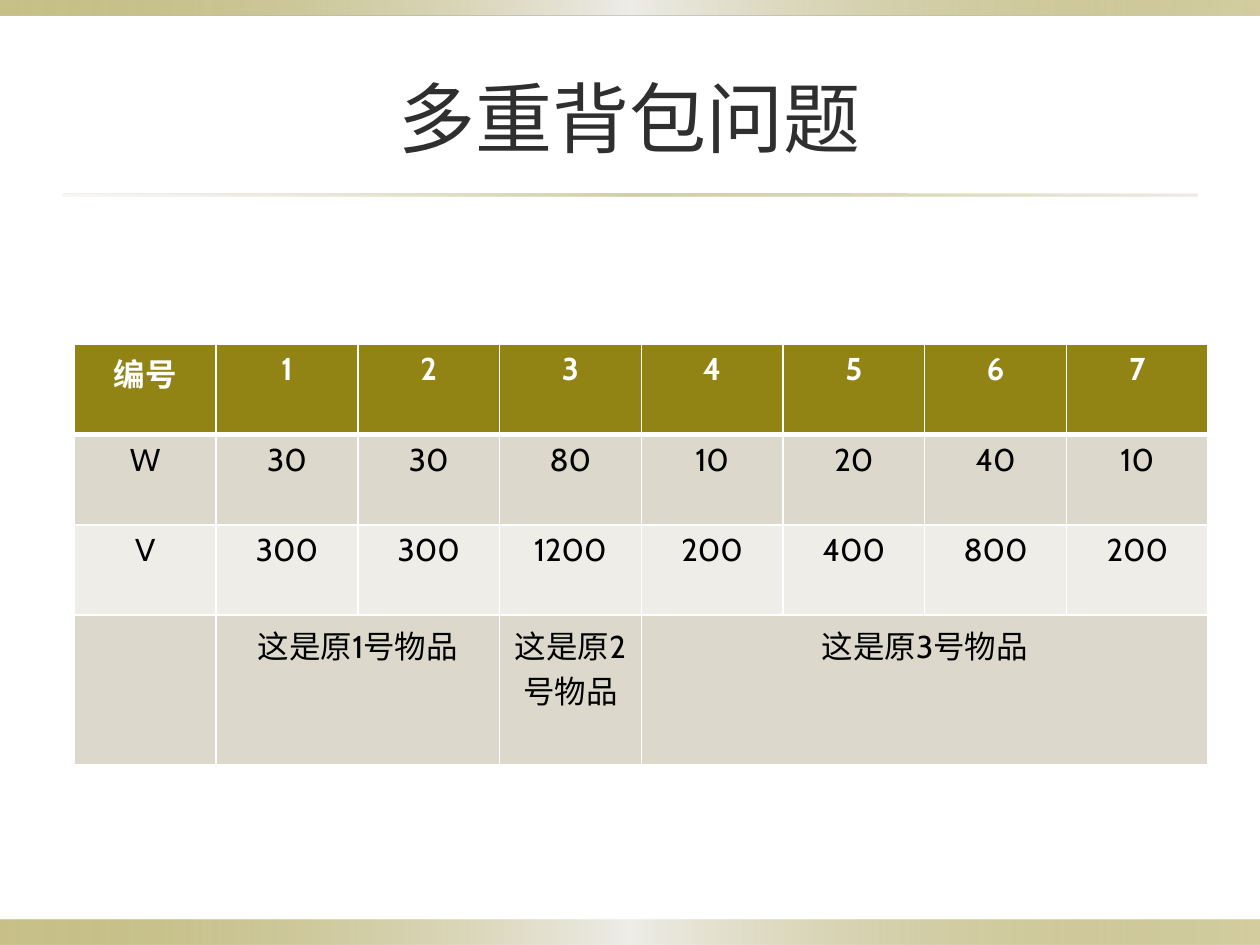
import pptx
import pptx.util
import pptx.dml.color
import pptx.enum.shapes
import pptx.enum.text
import pptx.oxml
import pptx.oxml.ns

Pt = pptx.util.Pt
qn = pptx.oxml.ns.qn
NS = pptx.oxml.ns.nsdecls("a")
FONT = "Cabin"
OLIVE, SAND, PALE, WHITE = "918415", "DCD9CC", "EEEDE8", "FFFFFF"
BAND = [(0, OLIVE, 50), (50, PALE, 100), (100, OLIVE, 40)]
RULE = [(0, SAND, 20), (50, OLIVE, 40), (100, SAND, 50)]
ROWS = [
    ["编号", "1", "2", "3", "4", "5", "6", "7"],
    ["W", "30", "30", "80", "10", "20", "40", "10"],
    ["V", "300", "300", "1200", "200", "400", "800", "200"],
    ["", "这是原1号物品", "", "这是原2号物品", "这是原3号物品", "", "", ""],
]
FILLS = [OLIVE, SAND, PALE, SAND]
MERGES = [(1, 2), (4, 7)]


def rgb(value):
    """Turn a hex string into a colour."""
    return pptx.dml.color.RGBColor.from_string(value)


def write(tf, text, size, color, bold=False):
    """Put one centred paragraph in a text frame."""
    p = tf.paragraphs[0]
    p.alignment = pptx.enum.text.PP_ALIGN.CENTER
    r = p.add_run()
    r.text = text
    for key, value in {"name": FONT, "size": Pt(size), "bold": bold}.items():
        setattr(r.font, key, value)
    r.font.color.rgb = rgb(color)


def add_strip(s, box, stops):
    """Draw a borderless bar with a horizontal gradient."""
    sp = s.shapes.add_shape(pptx.enum.shapes.MSO_SHAPE.RECTANGLE, *map(Pt, box))
    sp.shadow.inherit = False
    sp.line.fill.background()
    sp.fill.gradient()
    sp.fill.gradient_angle = 0
    gs_list = sp._element.spPr.find(qn("a:gradFill")).find(qn("a:gsLst"))
    for gs in list(gs_list):
        gs_list.remove(gs)
    for pos, color, alpha in stops:
        gs_list.append(pptx.oxml.parse_xml(
            f'<a:gs {NS} pos="{pos * 1000}"><a:srgbClr val="{color}">'
            f'<a:alpha val="{alpha * 1000}"/></a:srgbClr></a:gs>'))


def add_title(s, box, text):
    """Place and format the title placeholder."""
    sp = s.shapes.title
    for key, value in zip(("left", "top", "width", "height"), box):
        setattr(sp, key, Pt(value))
    sp.text_frame.vertical_anchor = pptx.enum.text.MSO_ANCHOR.MIDDLE
    write(sp.text_frame, text, 44, "2F2F2F")


def set_borders(cell, widths):
    """Give a cell white borders of the given widths."""
    tc_pr = cell._tc.get_or_add_tcPr()
    for i, (side, width) in enumerate(widths.items()):
        tc_pr.insert(i, pptx.oxml.parse_xml(
            f'<a:ln{side} {NS} w="{Pt(width)}"><a:solidFill>'
            f'<a:srgbClr val="{WHITE}"/></a:solidFill></a:ln{side}>'))


def add_items_table(s, box):
    """Draw the item table with its merged bottom row."""
    table = s.shapes.add_table(len(ROWS), len(ROWS[0]), *map(Pt, box)).table
    for i, row in enumerate(ROWS):
        head = i == 0
        for j, text in enumerate(row):
            cell = table.cell(i, j)
            cell.fill.solid()
            cell.fill.fore_color.rgb = rgb(FILLS[i])
            set_borders(cell, {"L": 1, "R": 1, "T": 3 if i == 1 else 1, "B": 3 if head else 1})
            if text:
                write(cell.text_frame, text, 18, WHITE if head else "000000", head)
    last = len(ROWS) - 1
    for start, end in MERGES:
        table.cell(last, start).merge(table.cell(last, end))


def build_slide(prs):
    """Lay out the knapsack slide."""
    s = prs.slides.add_slide(prs.slide_layouts[5])
    add_strip(s, (0, 525.6, 720, 14.4), BAND)
    add_strip(s, (0, 0, 720, 8.64), BAND)
    add_strip(s, (36, 110.9, 648, 1.44), RULE)
    add_title(s, (36, 21.6, 648, 90), "多重背包问题")
    add_items_table(s, (42.5, 196.6, 648, 206.6))


prs = pptx.Presentation()
prs.slide_width, prs.slide_height = Pt(720), Pt(540)
build_slide(prs)
prs.save("out.pptx")
